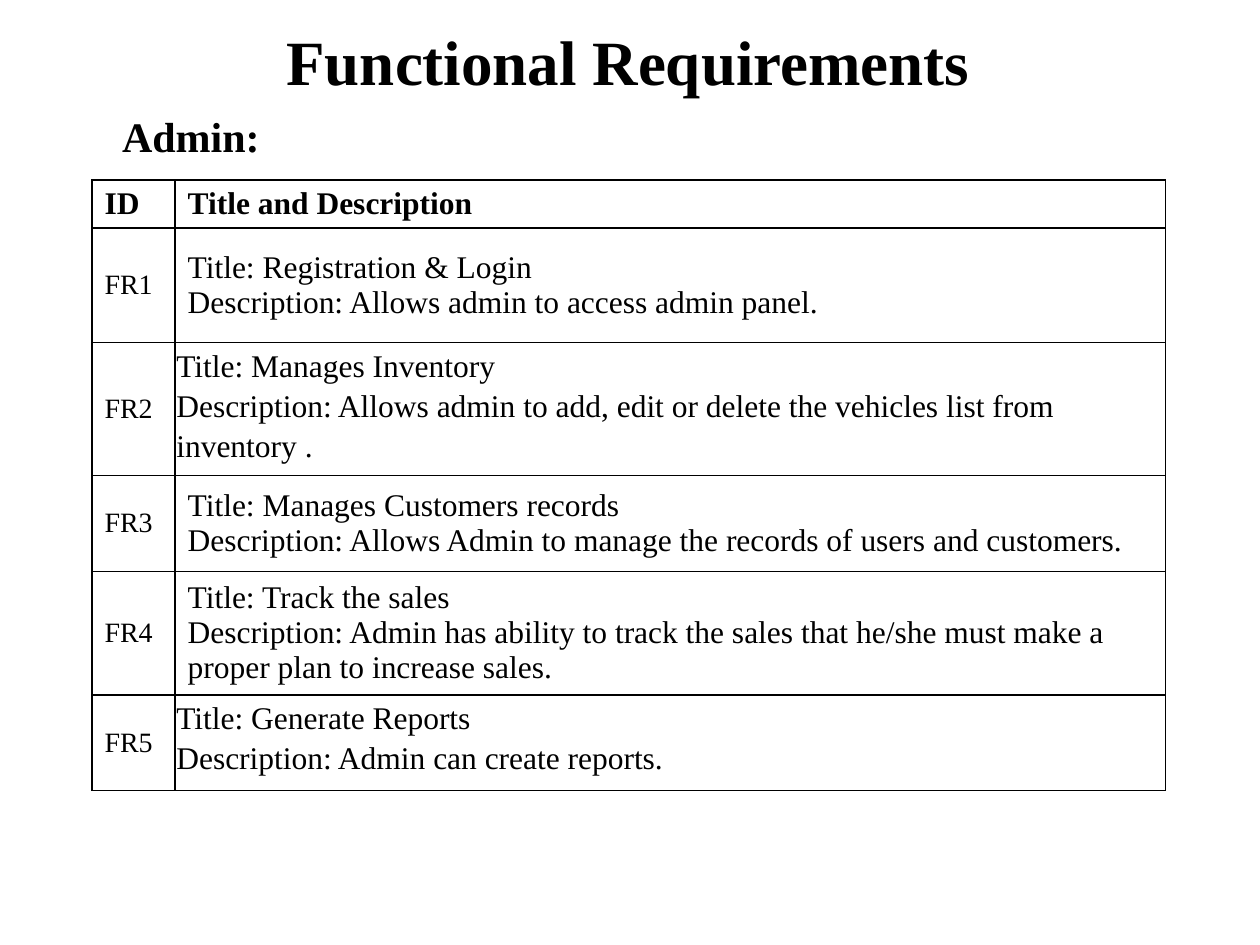
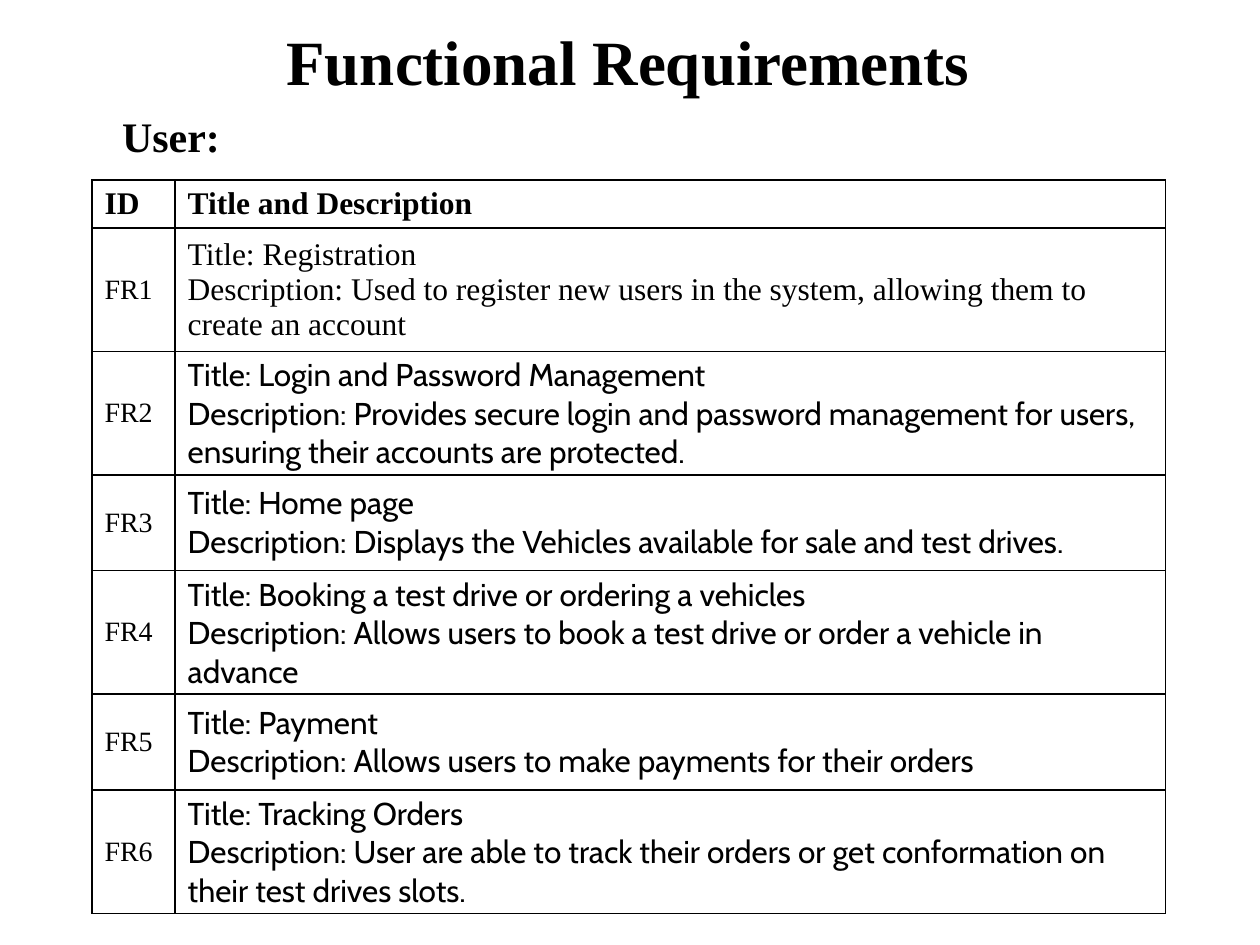
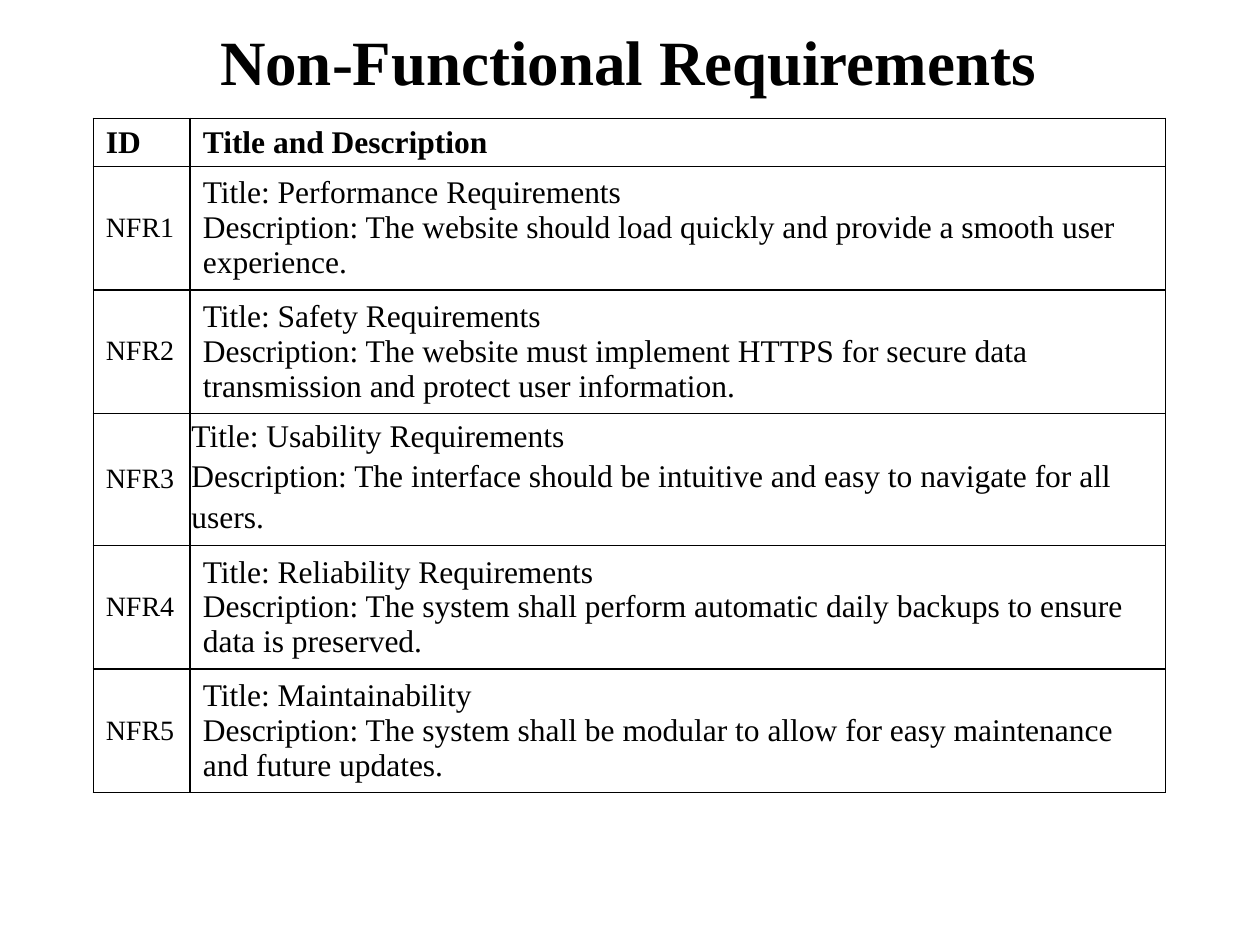
import pptx
import pptx.dml.color
import pptx.enum.text
import pptx.oxml
import pptx.oxml.ns
import pptx.util

BLACK = pptx.dml.color.RGBColor(0, 0, 0)
WHITE = pptx.dml.color.RGBColor(255, 255, 255)
SERIF, SANS = "Times New Roman", "Cabin"
TABLE_RIGHT = 9.25
HEADER, TWO_LINES, THREE_LINES = 0.38, 0.76, 0.98
TALL_TWO_LINES, TALL_THREE_LINES = 0.91, 1.05
MIDDLE = pptx.enum.text.MSO_ANCHOR.MIDDLE
TOP = pptx.enum.text.MSO_ANCHOR.TOP
# Font, anchor, side inset, top and bottom inset, line spacing
PLAIN = (SERIF, MIDDLE, 0.1, 0.04, 1.0)
CABIN = (SANS, MIDDLE, 0.1, 0.04, 1.0)
LOOSE = (SERIF, TOP, 0.01, 0.01, 1.15)

# Each requirement: title, description, row height, cell style
ADMIN = [
    ("Registration & Login", "Allows admin to access admin panel.", TALL_TWO_LINES, PLAIN),
    ("Manages Inventory",
     "Allows admin to add, edit or delete the vehicles list from inventory .",
     TALL_THREE_LINES, LOOSE),
    ("Manages Customers records",
     "Allows Admin to manage the records of users and customers.", TWO_LINES, PLAIN),
    ("Track the sales",
     "Admin has ability to track the sales that he/she must make a proper plan to increase sales.",
     THREE_LINES, PLAIN),
    ("Generate Reports", "Admin can create reports.", TWO_LINES, LOOSE),
]
USER = [
    ("Registration",
     "Used to register new users in the system, allowing them to create an account",
     THREE_LINES, PLAIN),
    ("Login and Password Management",
     "Provides secure login and password management for users, "
     "ensuring their accounts are protected.", THREE_LINES, CABIN),
    ("Home page", "Displays the Vehicles available for sale and test drives.", TWO_LINES, CABIN),
    ("Booking a test drive or ordering a vehicles",
     "Allows users to book a test drive or order a vehicle in advance", THREE_LINES, CABIN),
    ("Payment", "Allows users to make payments for their orders", TWO_LINES, CABIN),
    ("Tracking Orders",
     "User are able to track their orders or get conformation on their test drives slots.",
     THREE_LINES, CABIN),
]
QUALITY = [
    ("Performance Requirements",
     "The website should load quickly and provide a smooth user experience.",
     THREE_LINES, PLAIN),
    ("Safety Requirements",
     "The website must implement HTTPS for secure data transmission and protect user information.",
     THREE_LINES, PLAIN),
    ("Usability Requirements",
     "The interface should be intuitive and easy to navigate for all users.",
     TALL_THREE_LINES, LOOSE),
    ("Reliability Requirements",
     "The system shall perform automatic daily backups to ensure data is preserved.",
     THREE_LINES, PLAIN),
    ("Maintainability",
     "The system shall be modular to allow for easy maintenance and future updates.",
     THREE_LINES, PLAIN),
]
# Each slide: title, actor, ID prefix, table left, table top, ID column width, requirements
SLIDES = [
    ("Functional Requirements", "Admin:", "FR", 0.73, 1.43, 0.66, ADMIN),
    ("Functional Requirements", "User:", "FR", 0.73, 1.43, 0.66, USER),
    ("Non-Functional Requirements", None, "NFR", 0.74, 0.94, 0.77, QUALITY),
]


def write(frame, text, size, font=SERIF, bold=False, spacing=None):
    frame.text = text
    for paragraph in frame.paragraphs:
        paragraph.line_spacing = spacing
        for span in paragraph.runs:
            span.font.name, span.font.size = font, pptx.util.Pt(size)
            span.font.bold, span.font.color.rgb = bold, BLACK


def fill_cell(cell, text, size, style, bold=False):
    """Write one table cell and give it a white fill and black borders."""
    font, anchor, side, edge, spacing = style
    write(cell.text_frame, text, size, font, bold, spacing)
    cell.vertical_anchor = anchor
    cell.margin_left = cell.margin_right = pptx.util.Inches(side)
    cell.margin_top = cell.margin_bottom = pptx.util.Inches(edge)
    properties = cell._tc.get_or_add_tcPr()
    for border in ("lnL", "lnR", "lnT", "lnB"):
        properties.append(pptx.oxml.parse_xml(
            f'<a:{border} {pptx.oxml.ns.nsdecls("a")} w="{pptx.util.Pt(1)}">'
            f'<a:solidFill><a:srgbClr val="{BLACK}"/></a:solidFill></a:{border}>'))
    cell.fill.solid()
    cell.fill.fore_color.rgb = WHITE


deck = pptx.Presentation()
deck.slide_width, deck.slide_height = pptx.util.Inches(10), pptx.util.Inches(7.5)
title_only = deck.slide_layouts.get_by_name("Title Only")

for heading, actor, prefix, left, top, id_width, requirements in SLIDES:
    page = deck.slides.add_slide(title_only)
    title = page.shapes.title
    title.left, title.top = pptx.util.Inches(0.43), pptx.util.Inches(0.13)
    title.width, title.height = pptx.util.Inches(9.11), pptx.util.Inches(0.71)
    title.text_frame.auto_size = pptx.enum.text.MSO_AUTO_SIZE.NONE
    title.text_frame.vertical_anchor = TOP
    write(title.text_frame, heading, 36, bold=True)
    title.text_frame.paragraphs[0].alignment = pptx.enum.text.PP_ALIGN.CENTER

    if actor:
        box = page.shapes.add_textbox(pptx.util.Inches(0.87), pptx.util.Inches(0.83),
                                      pptx.util.Inches(8.88), pptx.util.Inches(0.5))
        box.text_frame.word_wrap = True
        write(box.text_frame, actor, 24, bold=True)

    heights = [HEADER] + [requirement[2] for requirement in requirements]
    table = page.shapes.add_table(
        len(heights), 2, pptx.util.Inches(left), pptx.util.Inches(top),
        pptx.util.Inches(TABLE_RIGHT - left), pptx.util.Inches(sum(heights))).table
    table.first_row = table.horz_banding = False
    table.columns[0].width = pptx.util.Inches(id_width)
    table.columns[1].width = pptx.util.Inches(TABLE_RIGHT - left - id_width)
    for row, height in zip(table.rows, heights):
        row.height = pptx.util.Inches(height)

    fill_cell(table.cell(0, 0), "ID", 18, PLAIN, bold=True)
    fill_cell(table.cell(0, 1), "Title and Description", 18, PLAIN, bold=True)
    for number, (name, description, _, style) in enumerate(requirements, start=1):
        fill_cell(table.cell(number, 0), f"{prefix}{number}", 16, PLAIN)
        fill_cell(table.cell(number, 1), f"Title: {name}\nDescription: {description}", 18, style)

deck.save("out.pptx")
